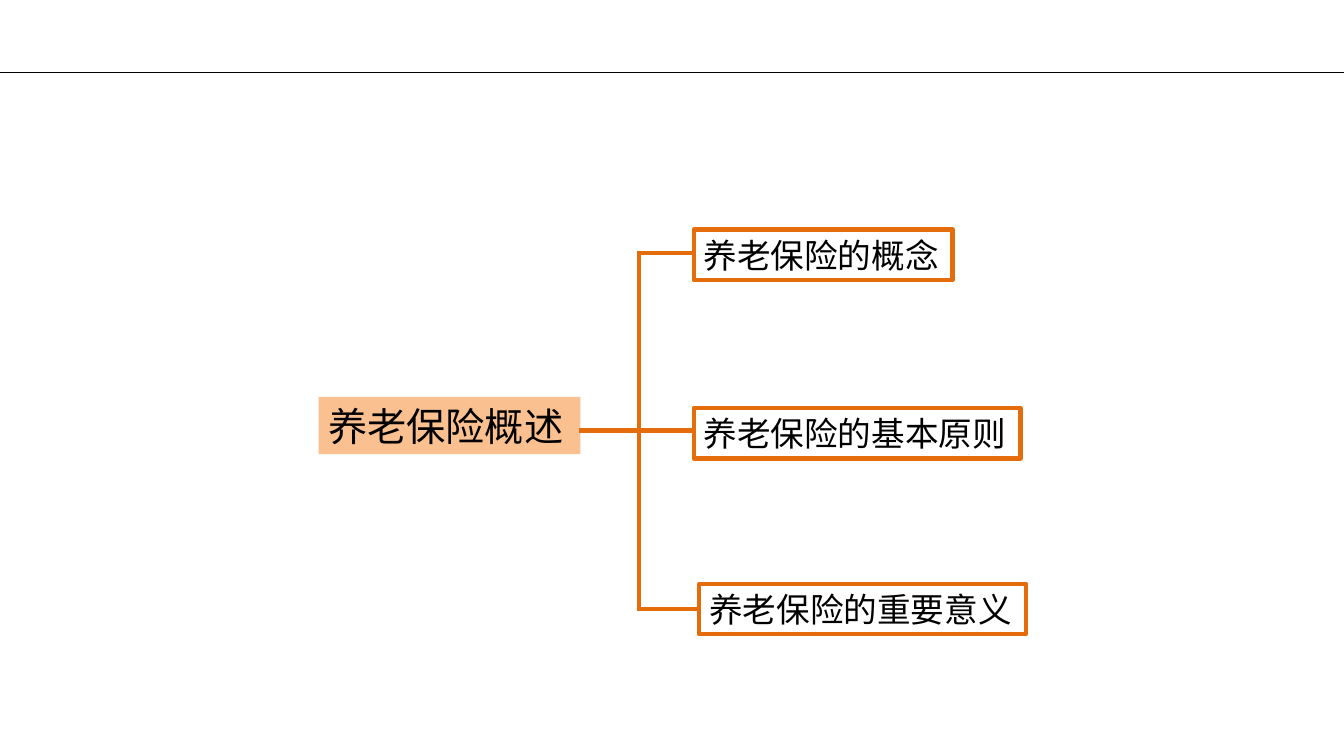
"""Build a one-slide topic tree of the pension insurance overview."""
from dataclasses import dataclass

from lxml.etree import SubElement
from pptx import Presentation
from pptx.dml.color import RGBColor
from pptx.enum.shapes import MSO_CONNECTOR
from pptx.enum.text import MSO_AUTO_SIZE
from pptx.oxml.ns import qn
from pptx.util import Pt


@dataclass(frozen=True)
class Theme:
    font: str = "Calibri"
    ink: RGBColor = RGBColor(0x00, 0x00, 0x00)
    root_fill: RGBColor = RGBColor(0xFA, 0xC0, 0x90)
    branch: RGBColor = RGBColor(0xE4, 0x6C, 0x0A)
    root_size: int = 28
    topic_size: int = 24
    rule_width: int = 1
    branch_width: int = 3


theme = Theme()
prs = Presentation()
prs.slide_width, prs.slide_height = Pt(960), Pt(540)
s = prs.slides.add_slide(prs.slide_layouts[6])


def add_line(x1, y1, x2, y2, color=theme.branch, width=theme.branch_width):
    line = s.shapes.add_connector(MSO_CONNECTOR.STRAIGHT, Pt(x1), Pt(y1), Pt(x2), Pt(y2))
    line.line.color.rgb = color
    line.line.width = Pt(width)
    SubElement(line._element.spPr, qn("a:effectLst"))


def add_label(text, x, y, w, h, size):
    sp = s.shapes.add_textbox(Pt(x), Pt(y), Pt(w), Pt(h))
    tf = sp.text_frame
    tf.word_wrap = True
    tf.auto_size = MSO_AUTO_SIZE.SHAPE_TO_FIT_TEXT
    p = tf.paragraphs[0]
    p.text = text
    p.font.name = theme.font
    p.font.size = Pt(size)
    p.font.color.rgb = theme.ink
    return sp


add_line(0, 52, 960, 52, theme.ink, theme.rule_width)

root = add_label("养老保险概述", 227.5, 283.5, 187, 41, theme.root_size)
root.fill.solid()
root.fill.fore_color.rgb = theme.root_fill

trunk_x = 456.5
topics = [
    ("养老保险的概念", 495.5, 164, 185, 180.75),
    ("养老保险的基本原则", 495.5, 291.5, 233.5, 307.5),
    ("养老保险的重要意义", 499.5, 417, 233.5, 435),
]
add_line(413.5, topics[1][-1], trunk_x, topics[1][-1])
add_line(trunk_x, topics[0][-1] - 1.5, trunk_x, topics[-1][-1] + 1.5)
for text, x, y, w, branch_y in topics:
    add_line(trunk_x, branch_y, x, branch_y)
    topic = add_label(text, x, y, w, 36, theme.topic_size)
    topic.line.color.rgb = theme.branch
    topic.line.width = Pt(theme.branch_width)

prs.save("out.pptx")
